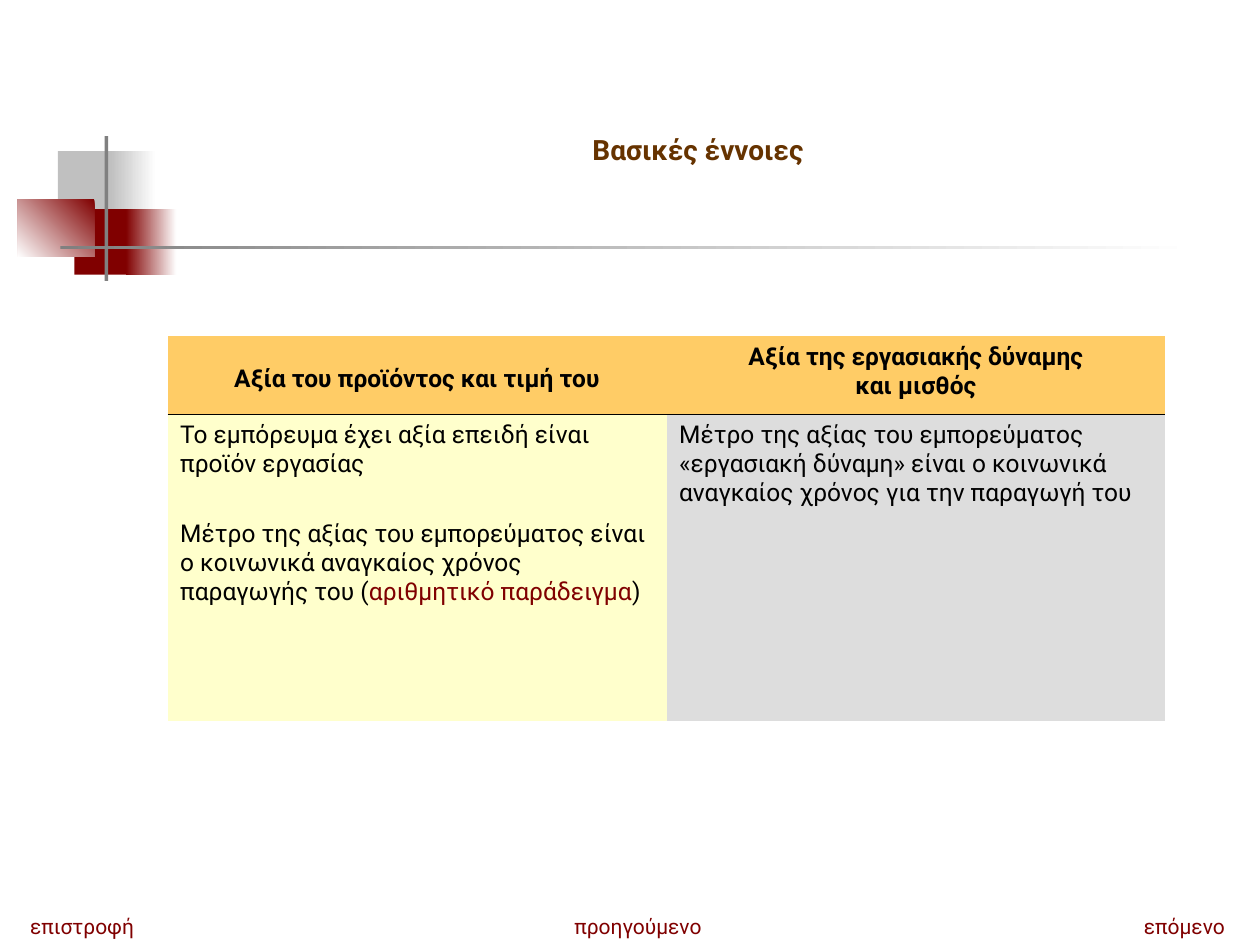
"""Build the slide of basic concepts with a two-column comparison table."""
from dataclasses import dataclass
from typing import Optional

from lxml.etree import SubElement
from pptx import Presentation
from pptx.dml.color import RGBColor
from pptx.enum.shapes import MSO_SHAPE as Preset
from pptx.enum.text import MSO_ANCHOR as Anchor, MSO_AUTO_SIZE as AutoSize, PP_ALIGN as Align
from pptx.oxml.ns import qn
from pptx.util import Inches, Pt

FONT = "Roboto"
NO_STYLE = "{2D5ABB26-0587-4C30-8999-92F81FD0307C}"
WHITE = RGBColor(0xFF, 0xFF, 0xFF)
BLACK = RGBColor(0x00, 0x00, 0x00)
SILVER = RGBColor(0xC0, 0xC0, 0xC0)
GRAY = RGBColor(0x80, 0x80, 0x80)
MAROON = RGBColor(0x80, 0x00, 0x00)
BROWN = RGBColor(0x66, 0x33, 0x00)
ORANGE = RGBColor(0xFF, 0xCC, 0x66)
CREAM = RGBColor(0xFF, 0xFF, 0xCC)
PALE_GRAY = RGBColor(0xDD, 0xDD, 0xDD)


@dataclass
class Block:
    left: float
    top: float
    width: float
    height: float
    color: RGBColor
    fade_angle: Optional[int] = None


@dataclass
class Column:
    heading: str
    heading_spacing: float
    color: RGBColor
    paragraphs: list[list[tuple[str, RGBColor]]]


@dataclass
class NavLabel:
    text: str
    left: float
    width: float


ORNAMENT = [
    Block(0.46, 1.2, 0.48, 0.52, SILVER),
    Block(0.88, 1.2, 0.36, 0.52, SILVER, 0),
    Block(0.59, 1.66, 0.46, 0.52, MAROON),
    Block(1, 1.66, 0.4, 0.52, MAROON, 0),
    Block(0.14, 1.58, 0.61, 0.46, MAROON, 225),
    Block(0.83, 1.08, 0.03, 1.15, GRAY),
    Block(0.48, 1.95, 9, 0.03, GRAY, 0),
]
COLUMNS = [
    Column("Αξία του προϊόντος και τιμή του", 1.75, CREAM, [
        [("Το εμπόρευμα έχει αξία επειδή είναι προϊόν εργασίας", BLACK)],
        [("Μέτρο της αξίας του εμπορεύματος είναι ο κοινωνικά αναγκαίος χρόνος "
          "παραγωγής του (", BLACK), ("αριθμητικό παράδειγμα", MAROON), (")", BLACK)],
    ]),
    Column("Αξία της εργασιακής δύναμης\nκαι μισθός", 1, PALE_GRAY, [
        [("Μέτρο της αξίας του εμπορεύματος «εργασιακή δύναμη» είναι ο κοινωνικά "
          "αναγκαίος χρόνος για την παραγωγή του", BLACK)],
    ]),
]
NAVIGATION = [
    NavLabel("επιστροφή", 0.14, 1.05),
    NavLabel("προηγούμενο", 4.46, 1.28),
    NavLabel("επόμενο", 8.98, 0.86),
]


def set_font(target, size: float, color: RGBColor, bold: bool = False) -> None:
    font = target.font
    font.name, font.size, font.bold = FONT, Pt(size), bold
    font.color.rgb = color


def draw_block(slide, block: Block) -> None:
    bounds = map(Inches, (block.left, block.top, block.width, block.height))
    shape = slide.shapes.add_shape(Preset.RECTANGLE, *bounds)
    shape.shadow.inherit = False
    shape.line.fill.background()
    if block.fade_angle is None:
        shape.fill.solid()
        shape.fill.fore_color.rgb = block.color
        return
    shape.fill.gradient()
    shape.fill.gradient_angle = block.fade_angle
    for stop, color in zip(shape.fill.gradient_stops, (block.color, WHITE)):
        stop.color.rgb = color


def draw_title(slide, text: str) -> None:
    title = slide.shapes.title
    title.left, title.top = Inches(1.83), Inches(1)
    title.width, title.height = Inches(7.42), Inches(0.37)
    frame = title.text_frame
    frame.text = text
    frame.auto_size = AutoSize.NONE
    frame.vertical_anchor = Anchor.TOP
    frame.paragraphs[0].alignment = Align.CENTER
    set_font(frame.paragraphs[0], 16, BROWN, True)


def fill_cell(cell, color: RGBColor) -> None:
    cell.fill.solid()
    cell.fill.fore_color.rgb = color
    cell.vertical_anchor = Anchor.TOP


def add_border(cell, side: str) -> None:
    properties = cell._tc.get_or_add_tcPr()
    border = SubElement(properties, qn(f"a:{side}"), w=str(Pt(1)))
    solid = SubElement(border, qn("a:solidFill"))
    SubElement(solid, qn("a:srgbClr"), val=str(BLACK))
    properties.insert(0, border)


def draw_table(slide, columns: list[Column]) -> None:
    column_width, heights = 3.96, (0.62, 2.43)
    table = slide.shapes.add_table(
        len(heights), len(columns), Inches(1.33), Inches(2.67),
        Inches(column_width * len(columns)), Inches(sum(heights))).table
    table.horz_banding = False
    table._tbl.tblPr.find(qn("a:tableStyleId")).text = NO_STYLE
    for row, height in zip(table.rows, heights):
        row.height = Inches(height)
    for index, column in enumerate(columns):
        table.columns[index].width = Inches(column_width)
        header, body = table.cell(0, index), table.cell(1, index)
        fill_cell(header, ORANGE)
        fill_cell(body, column.color)
        add_border(header, "lnB")
        add_border(body, "lnT")
        heading = header.text_frame.paragraphs[0]
        heading.text = column.heading
        heading.alignment = Align.CENTER
        heading.line_spacing = column.heading_spacing
        heading.space_before = Pt(3.5)
        set_font(heading, 14, BLACK, True)
        for number, parts in enumerate(column.paragraphs):
            frame = body.text_frame
            paragraph = frame.add_paragraph() if number else frame.paragraphs[0]
            paragraph.space_before = Pt(23.5 if number else 3.5)
            for text, color in parts:
                run = paragraph.add_run()
                run.text = text
                set_font(run, 14, color)


def draw_label(slide, label: NavLabel) -> None:
    box = slide.shapes.add_textbox(
        Inches(label.left), Inches(7.2), Inches(label.width), Inches(0.3))
    frame = box.text_frame
    frame.word_wrap = False
    frame.text = label.text
    set_font(frame.paragraphs[0], 12, MAROON)


def main() -> None:
    deck = Presentation()
    deck.slide_width, deck.slide_height = Inches(10), Inches(7.5)
    slide = deck.slides.add_slide(deck.slide_layouts[5])
    for block in ORNAMENT:
        draw_block(slide, block)
    draw_title(slide, "Βασικές έννοιες")
    draw_table(slide, COLUMNS)
    for label in NAVIGATION:
        draw_label(slide, label)
    deck.save("out.pptx")


if __name__ == "__main__":
    main()
